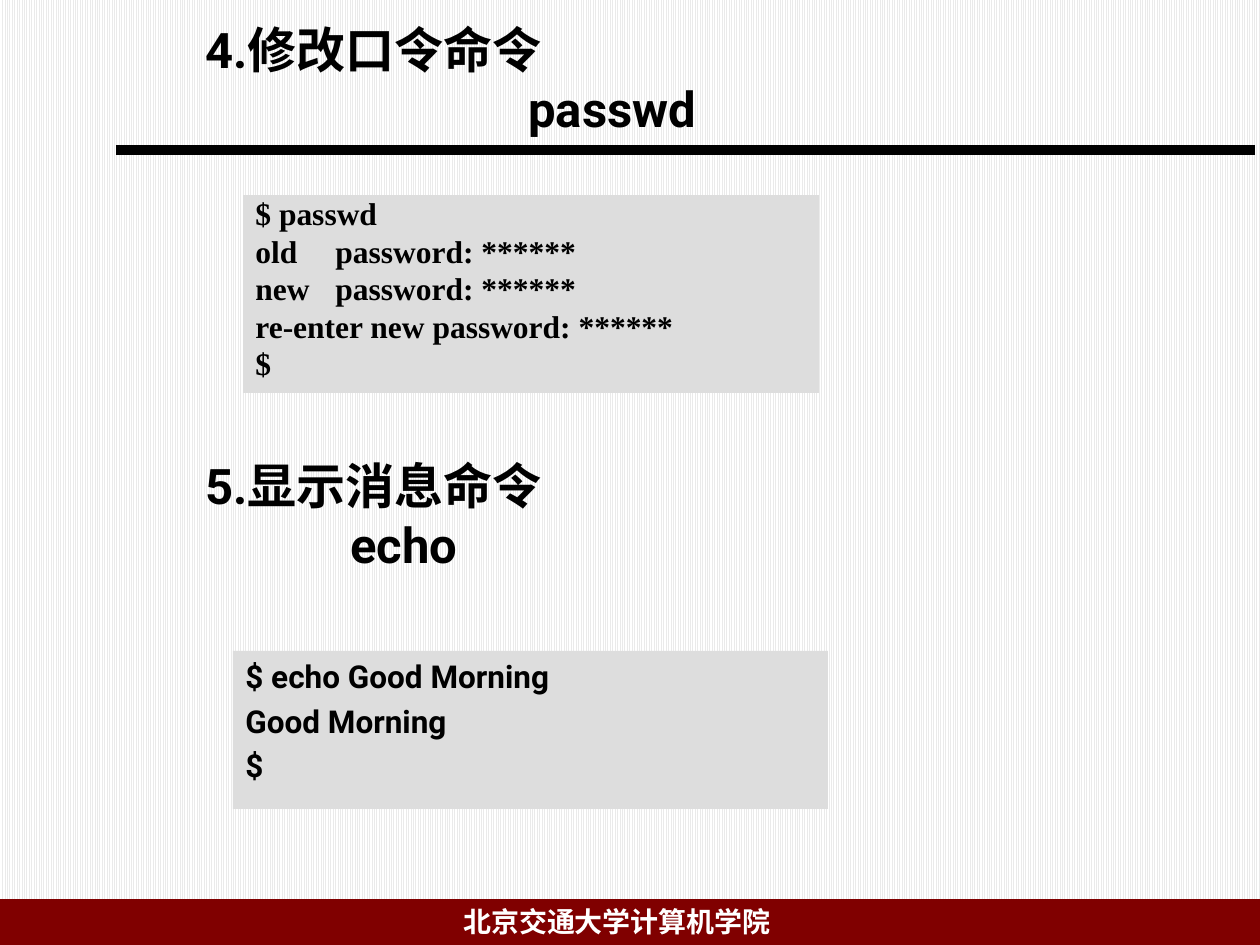
from dataclasses import dataclass

from lxml import etree
from pptx import Presentation
from pptx.dml.color import RGBColor
from pptx.enum.dml import MSO_PATTERN
from pptx.enum.shapes import MSO_CONNECTOR, MSO_SHAPE
from pptx.enum.text import MSO_ANCHOR, PP_ALIGN
from pptx.oxml.ns import qn
from pptx.util import Emu, Pt

STRIPES = MSO_PATTERN.LIGHT_VERTICAL
STRAIGHT = MSO_CONNECTOR.STRAIGHT
RECT = MSO_SHAPE.RECTANGLE
TOP, MIDDLE = MSO_ANCHOR.TOP, MSO_ANCHOR.MIDDLE
LEFT = PP_ALIGN.LEFT
EMU_PER_PX = 914400 / 126
WIDTH, HEIGHT = 1260, 945


@dataclass(frozen=True)
class Theme:
    ink: RGBColor = RGBColor(0, 0, 0)
    paper: RGBColor = RGBColor(255, 255, 255)
    stripe: RGBColor = RGBColor(0xEA, 0xEA, 0xEA)
    panel: RGBColor = RGBColor(0xDD, 0xDD, 0xDD)
    band: RGBColor = RGBColor(0x80, 0, 0)
    sans: str = "Roboto"
    serif: str = "Times New Roman"
    heading_pt: int = 28
    code_pt: int = 18
    footer_pt: int = 16
    rule_pt: int = 6


@dataclass(frozen=True)
class Box:
    x: int
    y: int
    w: int
    h: int


@dataclass(frozen=True)
class Heading:
    box: Box
    title: str
    command: str
    indent: int


@dataclass(frozen=True)
class Terminal:
    box: Box
    lines: tuple[str, ...]
    font: str
    line_spacing: float
    gap_pt: float
    tab: int = 80


THEME = Theme()

HEADINGS = (
    Heading(Box(193, 16, 893, 125), "4.修改口令命令", "passwd", 323),
    Heading(Box(193, 452, 893, 125), "5.显示消息命令", "echo", 145),
)
TERMINALS = (
    Terminal(
        Box(243, 195, 576, 198),
        ("$ passwd", "old\tpassword: ******", "new\tpassword: ******",
         "re-enter new password: ******", "$"),
        THEME.serif, 0.8, 4.2,
    ),
    Terminal(
        Box(233, 651, 595, 158),
        ("$ echo Good Morning", "Good Morning", "$"),
        THEME.sans, 1.0, 3.8,
    ),
)


def px(n: int) -> Emu:
    return Emu(round(n * EMU_PER_PX))


def place(box: Box) -> tuple[Emu, Emu, Emu, Emu]:
    return px(box.x), px(box.y), px(box.w), px(box.h)


def add_rect(s, box: Box, color: RGBColor):
    sp = s.shapes.add_shape(RECT, *place(box))
    sp.shadow.inherit = False
    sp.fill.solid()
    sp.fill.fore_color.rgb = color
    sp.line.fill.background()
    return sp


def write(sp, lines: tuple[str, ...], font: str, size: int,
          color: RGBColor, anchor: MSO_ANCHOR) -> list:
    """Fill a shape with bold left-aligned paragraphs and return them."""
    tf = sp.text_frame
    tf.word_wrap = True
    tf.vertical_anchor = anchor
    tf.text = "\n".join(lines)
    for p in tf.paragraphs:
        p.alignment = LEFT
        p.font.name, p.font.size = font, Pt(size)
        p.font.bold = True
        p.font.color.rgb = color
    return list(tf.paragraphs)


def add_tab_stop(p, position: int) -> None:
    pPr = p._p.get_or_add_pPr()
    tabs = etree.Element(qn("a:tabLst"))
    etree.SubElement(tabs, qn("a:tab"), pos=str(px(position)), algn="l")
    pPr.find(qn("a:defRPr")).addprevious(tabs)


def add_heading(s, heading: Heading) -> None:
    sp = s.shapes.add_textbox(*place(heading.box))
    _, command = write(sp, (heading.title, heading.command), THEME.sans,
                       THEME.heading_pt, THEME.ink, MIDDLE)
    command._p.get_or_add_pPr().set("marL", str(px(heading.indent)))


def add_terminal(s, terminal: Terminal) -> None:
    sp = add_rect(s, terminal.box, THEME.panel)
    for p in write(sp, terminal.lines, terminal.font, THEME.code_pt,
                   THEME.ink, TOP):
        p.line_spacing = terminal.line_spacing
        p.space_before = Pt(terminal.gap_pt)
        if "\t" in p.text:
            add_tab_stop(p, terminal.tab)


def add_rule(s, x1: int, x2: int, y: int) -> None:
    line = s.shapes.add_connector(STRAIGHT, px(x1), px(y), px(x2), px(y))
    line.line.color.rgb = THEME.ink
    line.line.width = Pt(THEME.rule_pt)
    etree.SubElement(line._element.spPr, qn("a:effectLst"))


def add_footer(s, text: str) -> None:
    add_rect(s, Box(0, 899, WIDTH, 46), THEME.band)
    sp = s.shapes.add_textbox(*place(Box(451, 898, 418, 47)))
    write(sp, (text,), THEME.serif, THEME.footer_pt, THEME.paper, TOP)


def main() -> None:
    prs = Presentation()
    prs.slide_width, prs.slide_height = px(WIDTH), px(HEIGHT)
    s = prs.slides.add_slide(prs.slide_layouts[6])
    fill = s.background.fill
    fill.patterned()
    fill.pattern = STRIPES
    fill.fore_color.rgb = THEME.stripe
    fill.back_color.rgb = THEME.paper

    add_footer(s, "北京交通大学计算机学院")
    add_rule(s, 116, 1255, 150)
    for heading, terminal in zip(HEADINGS, TERMINALS):
        add_heading(s, heading)
        add_terminal(s, terminal)
    prs.save("out.pptx")


if __name__ == "__main__":
    main()
